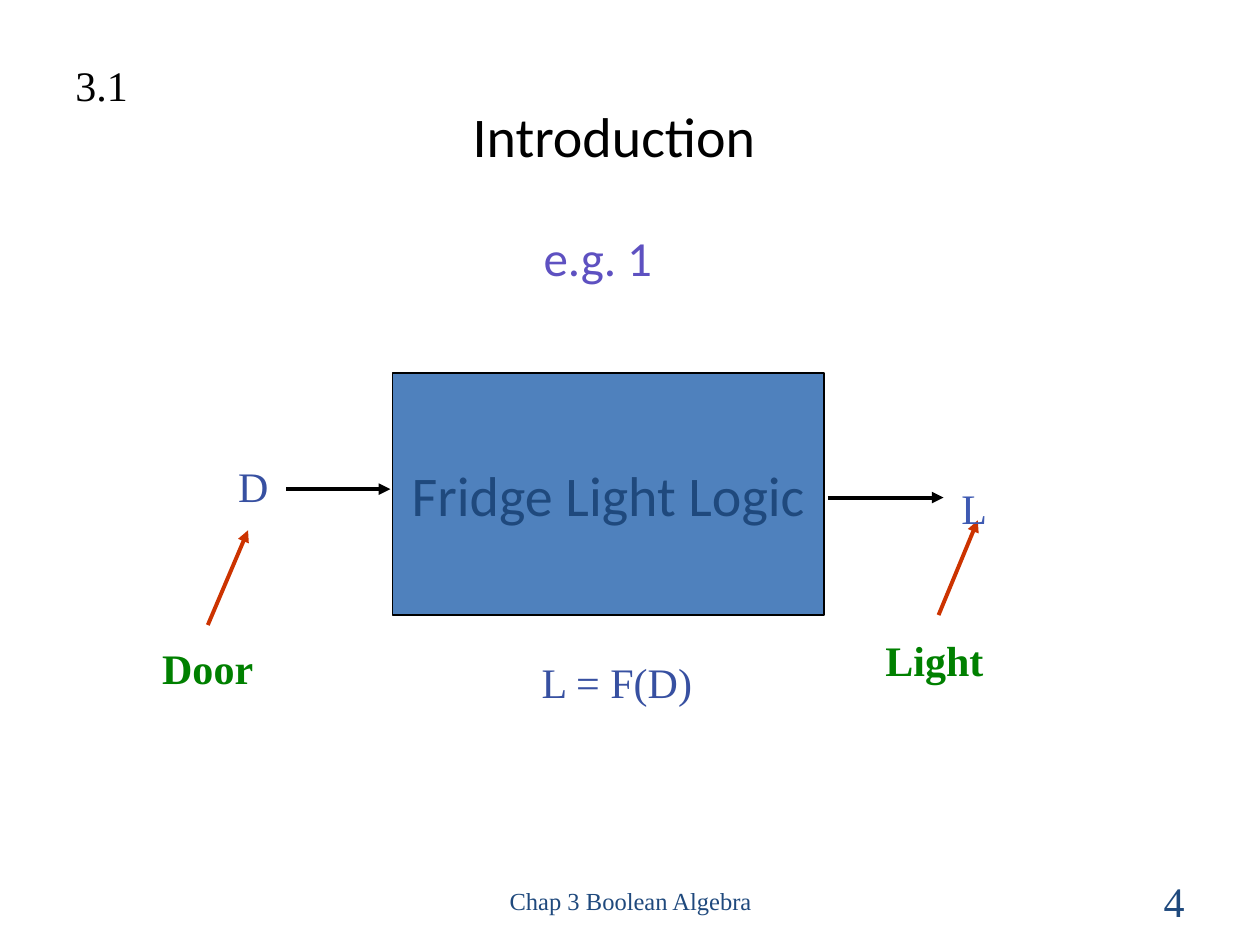
from dataclasses import dataclass

from lxml import etree
from pptx import Presentation
from pptx import util as u
from pptx.dml.color import RGBColor
from pptx.enum import shapes, text
from pptx.oxml.ns import qn


@dataclass(frozen=True)
class Theme:
    serif: str = "Times New Roman"
    sans: str = "Calibri"
    black: str = "000000"
    navy: str = "1F497D"
    violet: str = "5E51C1"
    block: str = "4F81BD"
    symbol: str = "3750A1"
    output: str = "3E5AB2"
    label: str = "008000"
    pointer: str = "CC3300"
    title_size: int = 32
    example_size: int = 28
    body_size: int = 24
    footer_size: int = 14


THEME = Theme()
LEFT, CENTER, RIGHT = text.PP_ALIGN.LEFT, text.PP_ALIGN.CENTER, text.PP_ALIGN.RIGHT
TOP, MIDDLE = text.MSO_ANCHOR.TOP, text.MSO_ANCHOR.MIDDLE


def set_all(target, values):
    for name, value in values.items():
        setattr(target, name, value)


def write(shape, words, color, size=THEME.body_size, font=THEME.serif, bold=False,
          wrap=True, anchor=TOP, **paragraph_format):
    set_all(shape.text_frame, {"word_wrap": wrap, "vertical_anchor": anchor})
    paragraph = shape.text_frame.paragraphs[0]
    set_all(paragraph, {"alignment": LEFT, **paragraph_format})
    run = paragraph.add_run()
    run.text = words
    set_all(run.font, {"name": font, "size": u.Pt(size), "bold": bold})
    run.font.color.rgb = RGBColor.from_string(color)
    return paragraph


def add_text(slide, origin, box, words, color, **text_format):
    """Place a text box; box is left, top, width, height in cm from origin."""
    left, top, width, height = box
    shape = slide.shapes.add_textbox(u.Cm(origin[0] + left), u.Cm(origin[1] + top),
                                     u.Cm(width), u.Cm(height))
    return write(shape, words, color, **text_format)


def add_arrow(slide, origin, start, end, color):
    points = [u.Cm(base + offset) for point in (start, end)
              for base, offset in zip(origin, point)]
    arrow = slide.shapes.add_connector(shapes.MSO_CONNECTOR.STRAIGHT, *points)
    arrow.line.color.rgb = RGBColor.from_string(color)
    arrow.line.width = u.Pt(2.25)
    properties = arrow._element.spPr
    etree.SubElement(properties.find(qn("a:ln")), qn("a:tailEnd"), type="triangle")
    etree.SubElement(properties, qn("a:effectLst"))


def add_heading(slide, origin):
    add_text(slide, origin, (0, 0, 1.57, 1.27), "3.1", THEME.black, wrap=False)
    add_text(slide, origin, (5.61, 0.81, 11, 1.7), "Introduction", THEME.black,
             size=THEME.title_size, font=THEME.sans, anchor=MIDDLE, alignment=CENTER)
    example = add_text(slide, origin, (8.94, 2.79, 3.94, 2.13), "e.g. 1", THEME.violet,
                       size=THEME.example_size, font=THEME.sans, line_spacing=1.5)
    indents = example._p.get_or_add_pPr()
    indents.set("marL", str(u.Cm(1.6)))
    indents.set("indent", str(u.Cm(-1.1)))


def add_logic_block(slide, origin):
    left, top = origin
    block = slide.shapes.add_shape(shapes.MSO_SHAPE.RECTANGLE, u.Cm(left + 4.9),
                                   u.Cm(top), u.Cm(8.69), u.Cm(4.88))
    block.shadow.inherit = False
    block.fill.solid()
    block.fill.fore_color.rgb = RGBColor.from_string(THEME.block)
    block.line.color.rgb = RGBColor.from_string(THEME.black)
    block.line.width = u.Pt(0.75)
    write(block, "Fridge Light Logic", THEME.navy, size=THEME.title_size,
          font=THEME.sans, wrap=False, anchor=MIDDLE, alignment=CENTER)


def add_diagram(slide, origin):
    add_logic_block(slide, origin)
    arrows = [
        ((2.75, 2.34), (4.85, 2.34), THEME.black),
        ((13.67, 2.51), (16, 2.51), THEME.black),
        ((1.17, 5.08), (1.98, 3.17), THEME.pointer),
        ((15.9, 4.88), (16.69, 2.97), THEME.pointer),
    ]
    for start, end, color in arrows:
        add_arrow(slide, origin, start, end, color)

    add_text(slide, origin, (1.53, 1.8, 1.12, 1.12), "D", THEME.symbol, line_spacing=0.85)
    add_text(slide, origin, (16.11, 2.08, 1.19, 1.27), "L", THEME.output)
    add_text(slide, origin, (7.65, 5.59, 4.11, 1.27), "L = F(D)", THEME.symbol)
    for box, words in [((0, 5.31, 2.34, 1.27), "Door"),
                       ((14.58, 5.15, 2.49, 1.27), "Light")]:
        add_text(slide, origin, box, words, THEME.label, bold=True, wrap=False)


def add_footer(slide, origin):
    add_text(slide, origin, (0, 0, 8.05, 1.02), "Chap 3 Boolean Algebra", THEME.navy,
             size=THEME.footer_size, anchor=MIDDLE, alignment=CENTER)
    add_text(slide, origin, (9.52, 0, 5.92, 1.02), "4", THEME.navy,
             anchor=MIDDLE, alignment=RIGHT)


def main():
    presentation = Presentation()
    set_all(presentation, {"slide_width": u.Cm(25.4), "slide_height": u.Cm(19.05)})
    slide = presentation.slides.add_slide(presentation.slide_layouts[6])
    add_footer(slide, (8.69, 17.65))
    add_heading(slide, (1.27, 1.07))
    add_diagram(slide, (3.02, 7.52))
    presentation.save("out.pptx")


if __name__ == "__main__":
    main()
